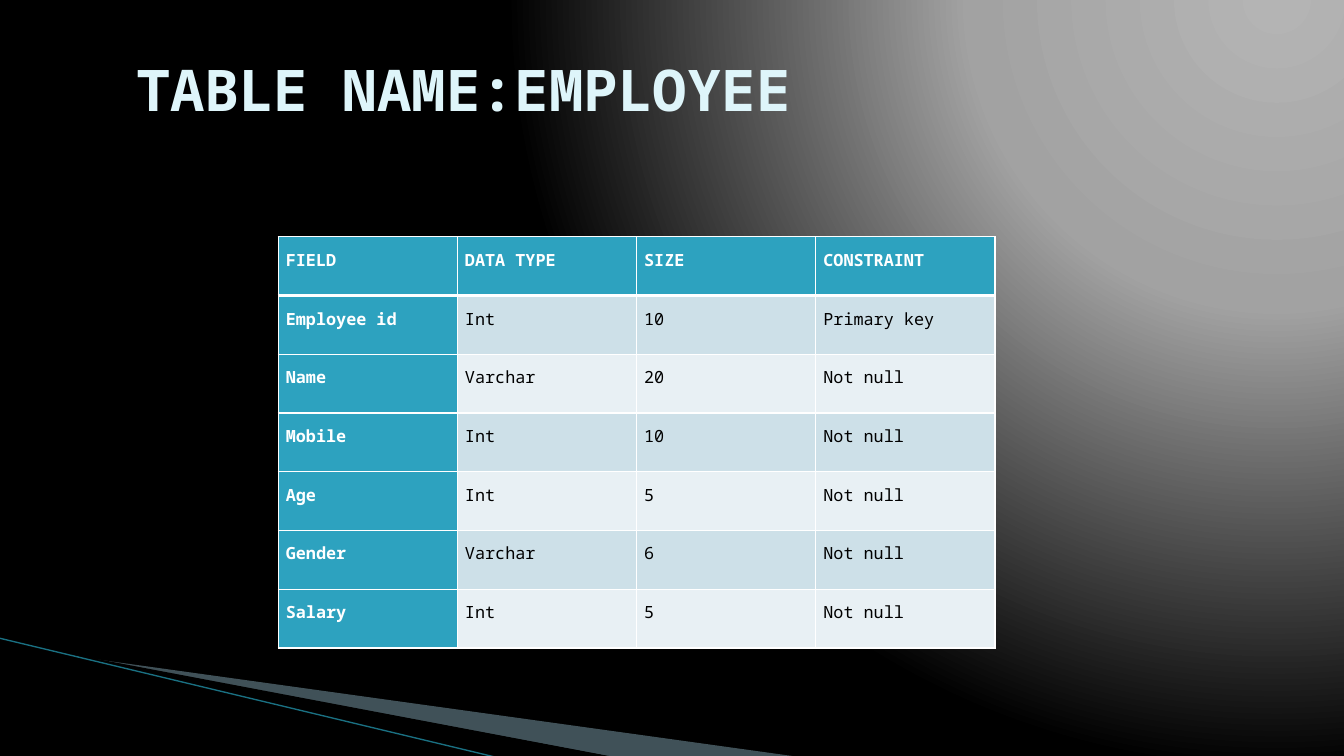
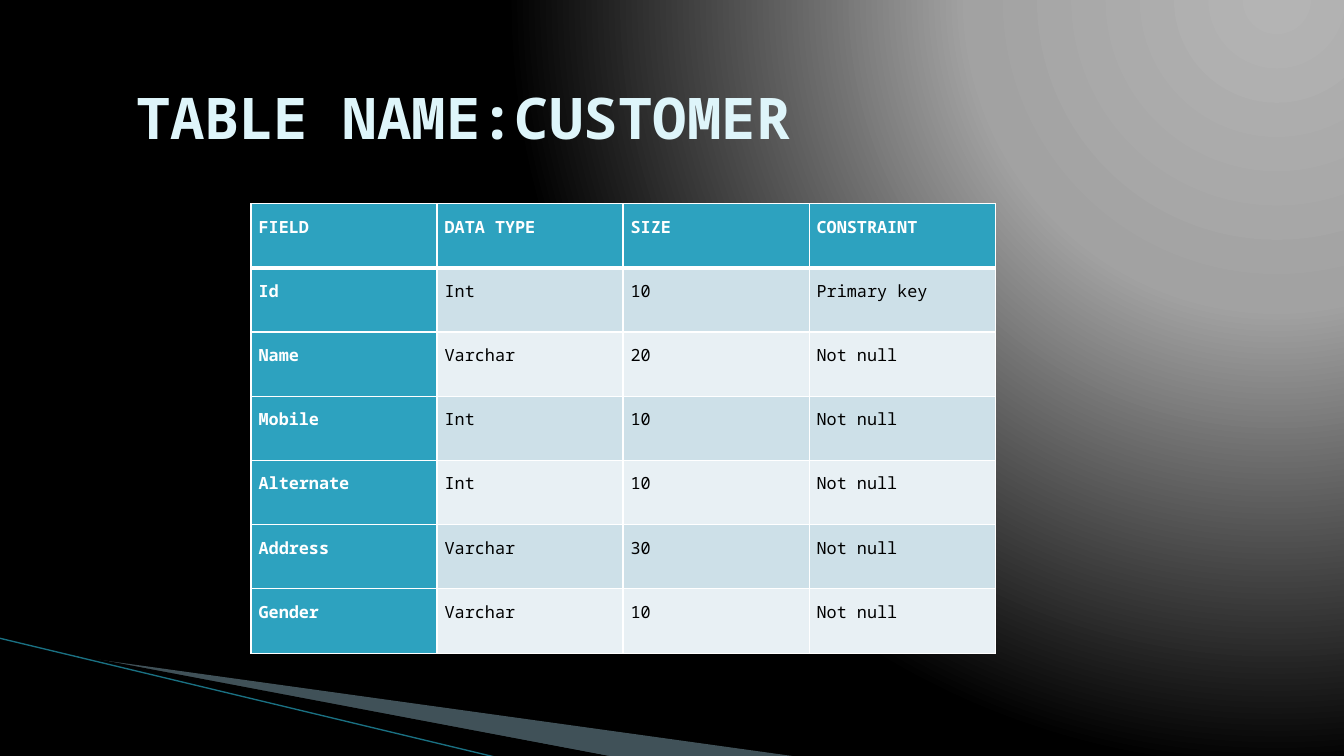
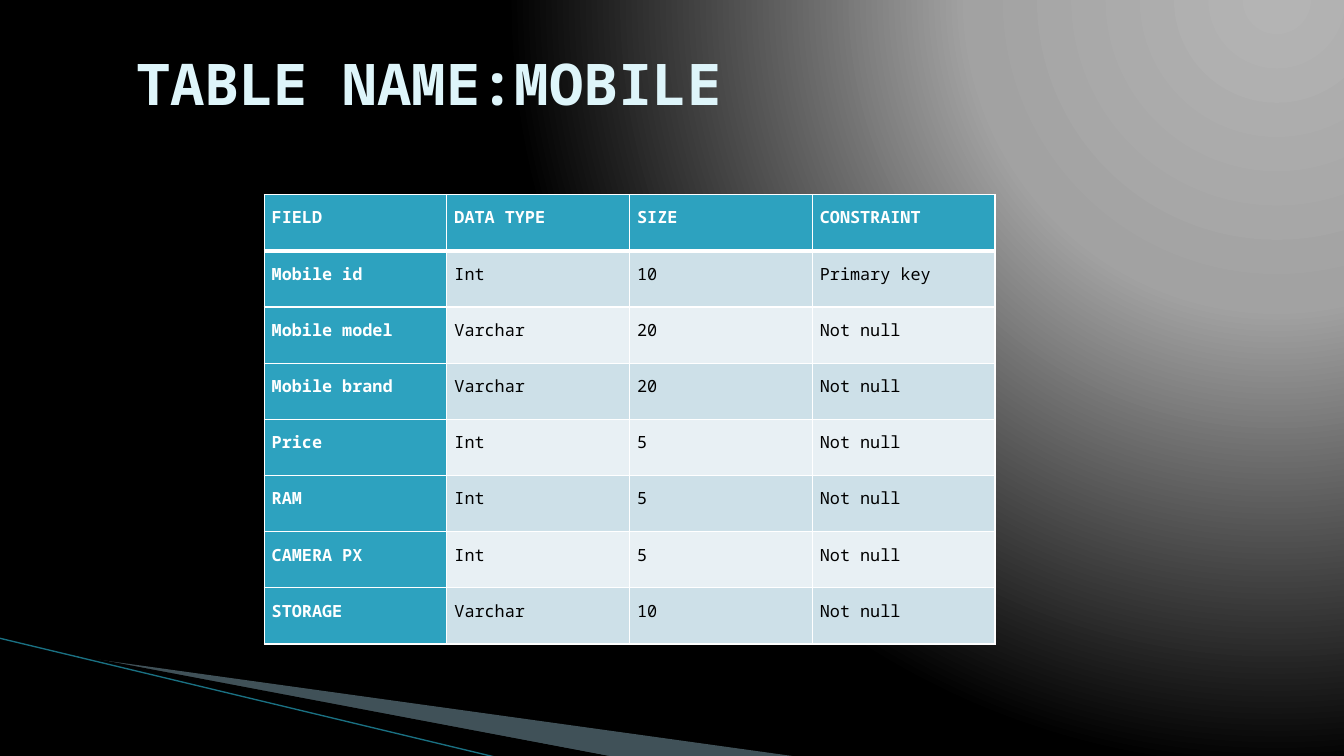
from lxml import etree
from pptx import Presentation
from pptx import util as u
from pptx.dml.color import RGBColor
from pptx.enum import shapes, text
from pptx.oxml.ns import qn

BLACK = RGBColor(0x00, 0x00, 0x00)
WHITE = RGBColor(0xFF, 0xFF, 0xFF)
ICE = RGBColor(0xDE, 0xF5, 0xFA)
TEAL = RGBColor(0x2D, 0xA2, 0xBF)
DARK_TEAL = RGBColor(0x1A, 0x70, 0x82)
PALE_BLUE = RGBColor(0xA0, 0xCB, 0xDC)
BAND_DARK = RGBColor(0xCD, 0xE0, 0xE8)
BAND_LIGHT = RGBColor(0xE8, 0xF0, 0xF4)
GLOW = ((0, RGBColor(0xB4, 0xB4, 0xB4)), (40, RGBColor(0xA2, 0xA2, 0xA2)), (100, BLACK))
GLOW_CENTRE = {"l": 95, "t": -106, "r": 5, "b": 206}
FONT = "Noto Sans Mono"

HEADER = ("FIELD", "DATA TYPE", "SIZE", "CONSTRAINT")
EMPLOYEE = (
    ("Employee id", "Int", "10", "Primary key"),
    ("Name", "Varchar", "20", "Not null"),
    ("Mobile", "Int", "10", "Not null"),
    ("Age", "Int", "5", "Not null"),
    ("Gender", "Varchar", "6", "Not null"),
    ("Salary", "Int", "5", "Not null"),
)
CUSTOMER = (
    ("Id", "Int", "10", "Primary key"),
    ("Name", "Varchar", "20", "Not null"),
    ("Mobile", "Int", "10", "Not null"),
    ("Alternate", "Int", "10", "Not null"),
    ("Address", "Varchar", "30", "Not null"),
    ("Gender", "Varchar", "10", "Not null"),
)
MOBILE = (
    ("Mobile id", "Int", "10", "Primary key"),
    ("Mobile model", "Varchar", "20", "Not null"),
    ("Mobile brand", "Varchar", "20", "Not null"),
    ("Price", "Int", "5", "Not null"),
    ("RAM", "Int", "5", "Not null"),
    ("CAMERA PX", "Int", "5", "Not null"),
    ("STORAGE", "Varchar", "10", "Not null"),
)


def child(parent, tag, **attributes):
    return etree.SubElement(parent, qn(tag), {k: str(v) for k, v in attributes.items()})


def write(frame, words, size=12, color=BLACK, bold=False, spacing=None):
    frame.text = words
    line = frame.paragraphs[0]
    line.alignment = text.PP_ALIGN.LEFT
    line.line_spacing = spacing
    font = line.runs[0].font
    font.name, font.size, font.bold = FONT, u.Pt(size), bold
    font.color.rgb = color


def set_borders(cell, **points):
    """Draw white cell borders; sides are named L, R, T and B, in that order."""
    properties = cell._tc.get_or_add_tcPr()
    for side, width in points.items():
        border = child(properties, f"a:ln{side}", w=u.Pt(width))
        child(child(border, "a:solidFill"), "a:srgbClr", val=WHITE)


def reframe(shape, left, top, width, height):
    """Give a freeform another frame while its outline stays where it is."""
    shift_x, shift_y = shape.left - left, shape.top - top
    outline = next(shape.element.iter(qn("a:path")))
    outline.set("w", str(width))
    outline.set("h", str(height))
    for corner in outline.iter(qn("a:pt")):
        corner.set("x", str(int(corner.get("x")) + shift_x))
        corner.set("y", str(int(corner.get("y")) + shift_y))
    shape.left, shape.top, shape.width, shape.height = left, top, width, height


class Deck:
    def __init__(self):
        self.prs = Presentation()
        self.prs.slide_width, self.prs.slide_height = u.Inches(13.33), u.Inches(7.5)
        self.layout = self.prs.slide_layouts[5]
        self.slide = None
        for placeholder in list(self.layout.placeholders):
            if placeholder.placeholder_format.type != shapes.PP_PLACEHOLDER.TITLE:
                placeholder.element.getparent().remove(placeholder.element)
        self.paint_background()

    def paint_background(self):
        self.layout.background.fill.gradient()
        gradient = next(self.layout.element.iter(qn("a:gradFill")))
        for part in list(gradient):
            gradient.remove(part)
        stops = child(gradient, "a:gsLst")
        for percent, color in GLOW:
            child(child(stops, "a:gs", pos=percent * 1000), "a:srgbClr", val=color)
        circle = child(gradient, "a:path", path="circle")
        child(circle, "a:fillToRect", **{k: v * 1000 for k, v in GLOW_CENTRE.items()})

    def add_slide(self, title, top, height):
        first = self.slide is None
        self.slide = self.prs.slides.add_slide(self.layout)
        if first:
            self.decorate_layout()
        heading = self.slide.shapes.title
        heading.left, heading.top = u.Inches(1.25), u.Inches(top)
        heading.width, heading.height = u.Inches(10.83), u.Inches(height)
        heading.text_frame.vertical_anchor = text.MSO_ANCHOR.MIDDLE
        write(heading.text_frame, title, size=41, color=ICE, bold=True)

    def decorate_layout(self):
        """Draw the corner wedges, then move them to the layout all slides share."""
        corner = (
            self.wedge(((0.73, 6.51), (7.93, 7.51), (6.08, 7.51), (0.73, 6.5)),
                       (1.04, 5.47, 5.54, 1.58), PALE_BLUE, opacity=40),
            self.wedge(((0.71, 6.49), (6.09, 7.51), (4.96, 7.52), (0.72, 6.5)),
                       (-0.08, 6.33, 5.54, 0.92), BLACK),
            self.line((-0.01, 6.33), (4.95, 7.52), DARK_TEAL, 0.95),
        )
        for part in corner:
            self.layout.shapes.element.append(part.element)

    def wedge(self, corners, frame, color, opacity=100):
        start, *others = [(u.Inches(x), u.Inches(y)) for x, y in corners]
        outline = self.slide.shapes.build_freeform(*start)
        outline.add_line_segments(others, close=True)
        shape = outline.convert_to_shape()
        reframe(shape, *[u.Inches(value) for value in frame])
        shape.shadow.inherit = False
        shape.line.fill.background()
        shape.fill.solid()
        shape.fill.fore_color.rgb = color
        if opacity < 100:
            tint = next(shape.element.spPr.iter(qn("a:srgbClr")))
            child(tint, "a:alpha", val=opacity * 1000)
        return shape

    def line(self, start, end, color, width):
        points = [u.Inches(value) for value in (*start, *end)]
        stroke = self.slide.shapes.add_connector(shapes.MSO_CONNECTOR.STRAIGHT, *points)
        stroke.line.color.rgb = color
        stroke.line.width = u.Pt(width)
        child(stroke.element.spPr, "a:effectLst")
        return stroke

    def field_table(self, fields, left, top, width, height):
        rows = (HEADER, *fields)
        box = [u.Inches(value) for value in (left, top, width, height)]
        table = self.slide.shapes.add_table(len(rows), len(HEADER), *box).table
        table.first_col, table.horz_banding = True, False
        for r, row in enumerate(rows):
            for c, words in enumerate(row):
                self.fill_cell(table.cell(r, c), words, r, c)

    def fill_cell(self, cell, words, row, column):
        heading = row == 0 or column == 0
        cell.margin_left = cell.margin_right = u.Pt(5.4)
        cell.margin_top = cell.margin_bottom = 0
        set_borders(cell, L=1, R=1, T=3 if row == 1 else 1, B=3 if row == 0 else 1)
        cell.fill.solid()
        band = BAND_DARK if row % 2 else BAND_LIGHT
        cell.fill.fore_color.rgb = TEAL if heading else band
        write(cell.text_frame, words, color=WHITE if heading else BLACK,
              bold=heading, spacing=1.5)


def main():
    deck = Deck()
    deck.add_slide("TABLE NAME:EMPLOYEE", top=0.2, height=1.35)
    deck.field_table(EMPLOYEE, 2.76, 2.35, 7.11, 4.08)
    deck.add_slide("TABLE NAME:CUSTOMER", top=0.48, height=1.36)
    deck.field_table(CUSTOMER, 2.49, 2.02, 7.38, 4.46)
    deck.add_slide("TABLE NAME:MOBILE", top=0.17, height=1.29)
    deck.field_table(MOBILE, 2.62, 1.93, 7.25, 4.46)
    deck.prs.save("out.pptx")


if __name__ == "__main__":
    main()
